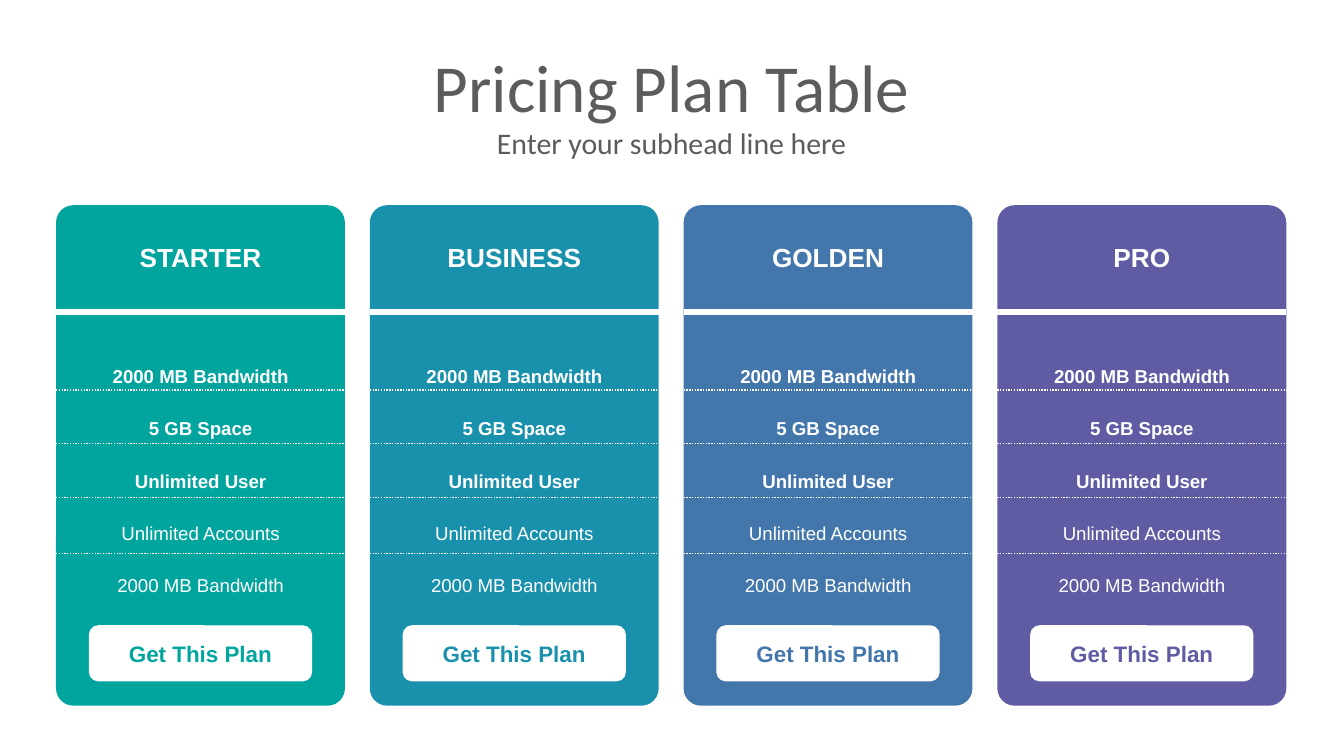
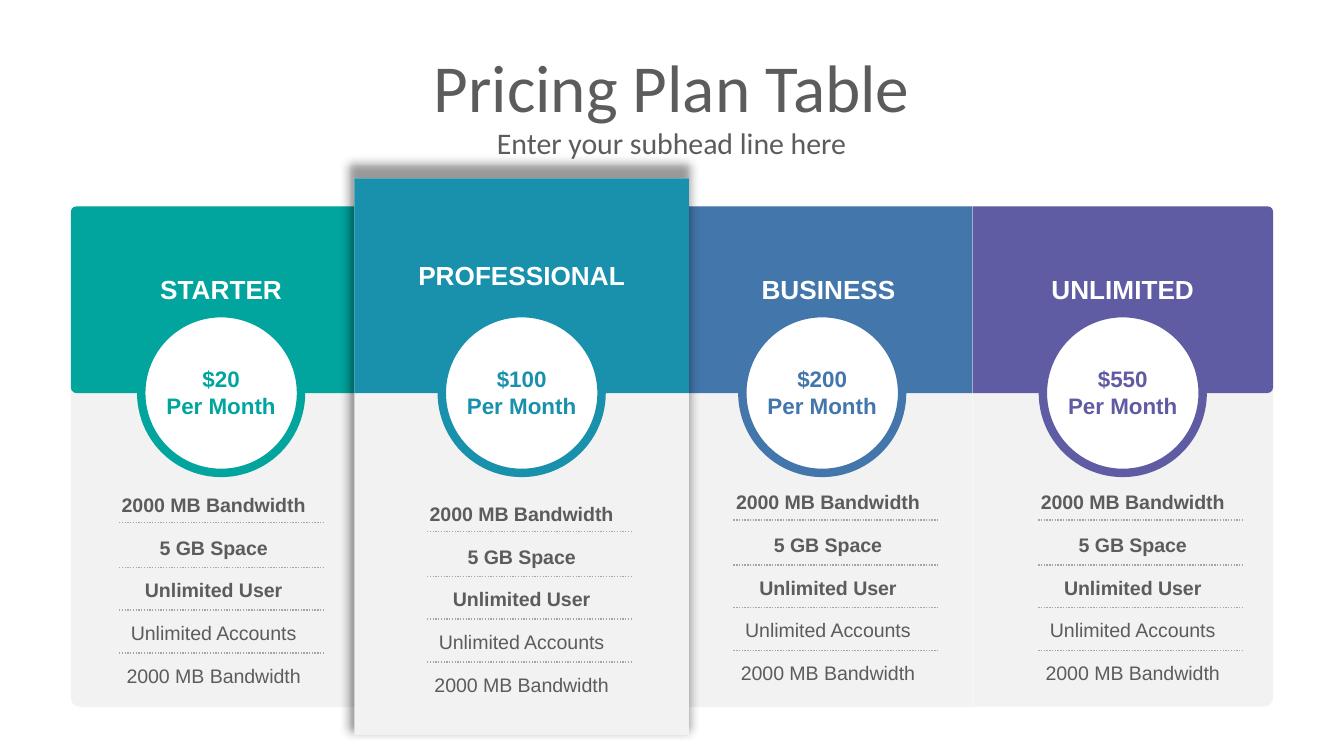
from lxml import etree
from pptx import Presentation
from pptx import util as u
from pptx.dml import color
from pptx.enum import dml, shapes, text
from pptx.oxml import ns

TEAL, CYAN, BLUE, PLUM = "01A59E", "1991AC", "4376AB", "5F5CA3"
WHITE, GREY, PALE, RULE = "FFFFFF", "5C5C5C", "F2F2F2", "A6A6A6"
KIND = shapes.MSO_SHAPE
PERKS = ["2000 MB Bandwidth", "5 GB Space", "Unlimited User",
         "Unlimited Accounts", "2000 MB Bandwidth"]
WIDTHS = {"STARTER": 2.31, "BUSINESS": 2.57, "GOLDEN": 2.13, "PRO": 1.09,
          "PROFESSIONAL": 3.94, "UNLIMITED": 2.72}


def tint(code):
    return color.RGBColor.from_string(code)


def paint(item, code):
    item.fill.solid()
    item.fill.fore_color.rgb = tint(code)


def style(para, size, code, bold=False, face="Arial"):
    para.alignment = text.PP_ALIGN.CENTER
    font = para.font
    font.name, font.size, font.bold = face, u.Pt(size), bold
    font.color.rgb = tint(code)


def block(parent, kind, box, fill, edge=None):
    shape = parent.add_shape(kind, *map(u.Cm, box))
    shape.shadow.inherit = False
    paint(shape, fill)
    if edge:
        shape.line.color.rgb = tint(edge)
        shape.line.width = u.Pt(4.5)
    else:
        shape.line.fill.background()
    return shape


def line(parent, start, end, y, code, width=0.75, dots=True):
    rule = parent.add_connector(shapes.MSO_CONNECTOR.STRAIGHT,
                                u.Cm(start), u.Cm(y), u.Cm(end), u.Cm(y))
    rule.line.color.rgb = tint(code)
    rule.line.width = u.Pt(width)
    if dots:
        rule.line.dash_style = dml.MSO_LINE.ROUND_DOT
    etree.SubElement(rule.element.spPr, ns.qn("a:effectLst"))


def label(parent, words, box, size, code, bold=True, face="Arial",
          wrap=False, mid=False):
    frame = parent.add_textbox(*map(u.Cm, box)).text_frame
    frame.word_wrap = wrap
    frame.margin_left = frame.margin_right = 0
    frame.margin_top = frame.margin_bottom = 0
    if mid:
        frame.auto_size = text.MSO_AUTO_SIZE.NONE
        frame.vertical_anchor = text.MSO_ANCHOR.MIDDLE
    else:
        frame.auto_size = text.MSO_AUTO_SIZE.SHAPE_TO_FIT_TEXT
    frame.text = words
    style(frame.paragraphs[0], size, code, bold, face)


def plan(parent, name, mid, y):
    wide = WIDTHS[name]
    label(parent, name, (mid - wide / 2, y, wide, 0.61), 14, WHITE)


def perks(parent, box, size, code, gap):
    frame = parent.add_textbox(*map(u.Cm, box)).text_frame
    frame.word_wrap = True
    frame.auto_size = text.MSO_AUTO_SIZE.SHAPE_TO_FIT_TEXT
    for i, perk in enumerate(PERKS):
        para = frame.add_paragraph() if i else frame.paragraphs[0]
        para.text = perk
        para.line_spacing = gap
        if i:
            para.space_before = u.Pt(4)
        style(para, size, code, bold=i < 3)


def panel(parent, kind, box, turn, fill):
    x, y, wide, high = box
    shape = block(parent, kind, (x + (wide - high) / 2, y + (high - wide) / 2,
                                 high, wide), fill)
    shape.rotation = turn
    if kind == KIND.ROUND_2_SAME_RECTANGLE:
        shape.adjustments[0] = 0.03
    return shape


def glow(shape):
    effects = shape.element.spPr.find(ns.qn("a:effectLst"))
    shade = etree.SubElement(effects, ns.qn("a:outerShdw"), blurRad="63500",
                             sx="102000", sy="102000", algn="ctr",
                             rotWithShape="0")
    black = etree.SubElement(shade, ns.qn("a:srgbClr"), val="000000")
    etree.SubElement(black, ns.qn("a:alpha"), val="40000")


def start(deck):
    slide = deck.slides.add_slide(deck.slide_layouts[6])
    label(slide.shapes, "Enter your subhead line here", (1.07, 2.46, 23.25, 0.48),
          16, GREY, False, "Calibri", mid=True)
    label(slide.shapes, "Pricing Plan Table", (1.07, 0.94, 23.25, 1.37),
          36, GREY, False, "Calibri", wrap=True, mid=True)
    return slide


def card(slide, x, name, code):
    parent = slide.shapes.add_group_shape().shapes
    wide = 5.46
    base = block(parent, KIND.ROUNDED_RECTANGLE, (x, 3.88, wide, 9.46), code)
    base.adjustments[0] = 0.06
    line(parent, x + wide, x, 5.9, WHITE, 3, dots=False)
    button = block(parent, KIND.ROUNDED_RECTANGLE,
                   (x + 0.62, 11.82, 4.22, 1.06), WHITE)
    frame = button.text_frame
    frame.vertical_anchor = text.MSO_ANCHOR.MIDDLE
    frame.text = "Get This Plan"
    style(frame.paragraphs[0], 12, code, True)
    plan(parent, name, x + wide / 2, 4.57)
    perks(parent, (x, 6.35, wide, 5.11), 10, WHITE, 2.0)
    for y in (7.37, 8.38, 9.4, 10.46):
        line(parent, x, x + wide, y, WHITE)


def column(slide, spot, name, price, code, left, top, kind=KIND.RECTANGLE,
           turn=270, nudge=0, large=False):
    parent = slide.shapes.add_group_shape().shapes
    mid = 4.18 + 5.68 * spot
    wide, y, foot = (6.32, 3.37, 13.89) if large else (5.68, 3.9, 13.36)
    x = mid - wide / 2
    base = panel(parent, kind, (x, y, wide, foot - y), turn, PALE)
    if large:
        glow(base)
    panel(parent, kind, (x, y, wide, 7.43 - y), turn, code)
    block(parent, KIND.OVAL, (mid - 1.51, 5.92, 3.02, 3.02), WHITE, code)
    plan(parent, name, mid + nudge, 4.9 if large else 5.16)
    label(parent, price + "\vPer Month", (mid - 1.04, 6.91, 2.08, 1.02), 12, code)
    perks(parent, (left, top, 4.42, 4.19), 10.5, GREY, 1.5)
    for drop in (0.91, 1.76, 2.56, 3.37):
        line(parent, left + 0.42, left + 4.29, top + drop, RULE)


def main():
    deck = Presentation()
    deck.slide_width, deck.slide_height = u.Cm(25.4), u.Cm(14.29)

    slide = start(deck)
    cards = zip(("STARTER", "BUSINESS", "GOLDEN", "PRO"), (TEAL, CYAN, BLUE, PLUM))
    for i, (name, code) in enumerate(cards):
        card(slide, 1.06 + 5.93 * i, name, code)

    slide = start(deck)
    bent = KIND.ROUND_2_SAME_RECTANGLE
    column(slide, 0, "STARTER", "$20", TEAL, 1.83, 8.97, bent)
    column(slide, 2, "BUSINESS", "$200", BLUE, 13.44, 8.92, nudge=0.12)
    column(slide, 3, "UNLIMITED", "$550", PLUM, 19.2, 8.92, bent, 90)
    column(slide, 1, "PROFESSIONAL", "$100", CYAN, 7.65, 9.14, large=True)
    deck.save("out.pptx")


if __name__ == "__main__":
    main()
